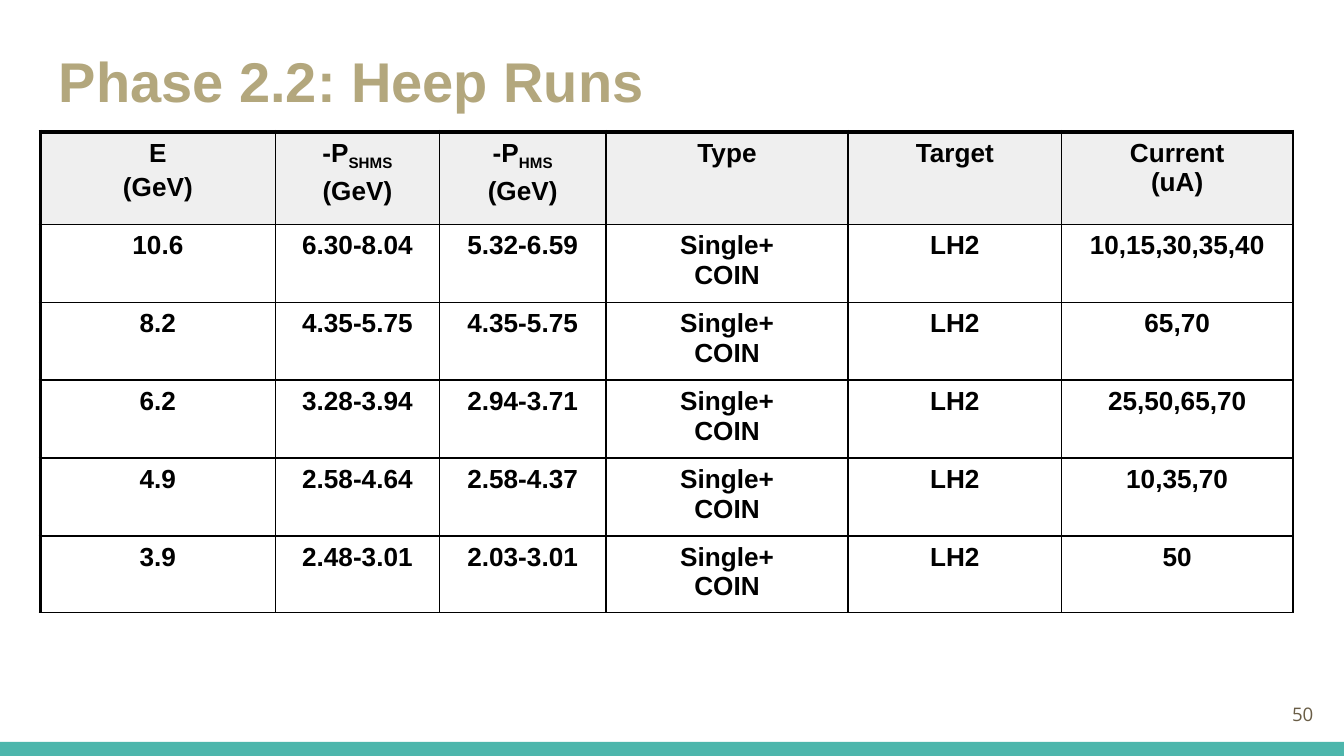
from lxml.etree import SubElement as Sub
from pptx import Presentation
from pptx.dml.color import RGBColor as Rgb
from pptx.enum.shapes import MSO_SHAPE as Kind
from pptx.enum.text import MSO_ANCHOR as Anchor, PP_ALIGN as Align
from pptx.oxml.ns import qn
from pptx.util import Inches, Pt

COLORS = {"bar": "4DB6AC", "title": "B3A77D", "page": "695D46",
          "head": "EFEFEF", "ink": "000000"}
TITLE = "Phase 2.2: Heep Runs"
PAGE = "50"
HEAD = [["E", "(GeV)"], [("-P", "SHMS"), "(GeV)"], [("-P", "HMS"), "(GeV)"],
        ["Type"], ["Target"], ["Current", "(uA)"]]
RUNS = [
    ("10.6", "6.30-8.04", "5.32-6.59", "10,15,30,35,40"),
    ("8.2", "4.35-5.75", "4.35-5.75", "65,70"),
    ("6.2", "3.28-3.94", "2.94-3.71", "25,50,65,70"),
    ("4.9", "2.58-4.64", "2.58-4.37", "10,35,70"),
    ("3.9", "2.48-3.01", "2.03-3.01", "50"),
]
KIND = ["Single+", "COIN"]
TARGET = ["LH2"]
WIDTHS = [1.75, 1.22, 1.24, 1.8, 1.59, 1.72]
HEIGHTS = [0.69] + [0.58] * 4 + [0.49]
SIDE = 3.28


def color(name):
    return Rgb.from_string(COLORS[name])


def style(para, font, size, ink, bold, align):
    para.alignment = align
    para.font.name = font
    para.font.size = Pt(size)
    para.font.bold = bold
    para.font.color.rgb = color(ink)


def label(slide, area, text, anchor, *look):
    frame = slide.shapes.add_textbox(*map(Inches, area)).text_frame
    frame.word_wrap = True
    frame.vertical_anchor = anchor
    frame.margin_left = frame.margin_right = Inches(0.1)
    frame.margin_top = frame.margin_bottom = Inches(0.1)
    frame.text = text
    style(frame.paragraphs[0], *look)


def border(cell, row, col):
    props = cell._tc.get_or_add_tcPr()
    sides = {"L": col == 0, "R": False, "T": row == 0, "B": False}
    for side, thick in sides.items():
        line = Sub(props, qn(f"a:ln{side}"), w=str(Pt(2.25 if thick else 1)))
        fill = Sub(line, qn("a:solidFill"))
        Sub(fill, qn("a:srgbClr"), val=COLORS["ink"])


def write(cell, lines, gap):
    cell.margin_left = cell.margin_right = 0
    cell.margin_top = cell.margin_bottom = Inches(0.05)
    frame = cell.text_frame
    for i, line in enumerate(lines):
        para = frame.add_paragraph() if i else frame.paragraphs[0]
        style(para, "Arial", 14, "ink", True, Align.CENTER)
        if i and gap:
            para.space_before = Pt(gap)
        base, sub = line if isinstance(line, tuple) else (line, "")
        para.add_run().text = base
        if sub:
            run = para.add_run()
            run.text = sub
            run._r.get_or_add_rPr().set("baseline", "-25000")


deck = Presentation()
deck.slide_width = Inches(10)
deck.slide_height = Inches(10 * 9 / 16)
slide = deck.slides.add_slide(deck.slide_layouts[6])

bar = slide.shapes.add_shape(Kind.RECTANGLE, *map(Inches, (0, 5.52, 10, 0.11)))
bar.shadow.inherit = False
bar.fill.solid()
bar.fill.fore_color.rgb = color("bar")
bar.line.fill.background()

label(slide, (0.34, 0.25, 9.32, 0.63), TITLE, Anchor.TOP,
      "Arial", 30, "title", True, Align.LEFT)

rows = [HEAD] + [[[e], [shms], [hms], KIND, TARGET, [amps]]
                 for e, shms, hms, amps in RUNS]
area = (0.3, 0.98, SIDE, SIDE)
holder = slide.shapes.add_table(len(rows), len(WIDTHS), *map(Inches, area))
table = holder.table
table.first_row = table.horz_banding = False
for col, width in zip(table.columns, WIDTHS):
    col.width = Inches(width)
for row, height in zip(table.rows, HEIGHTS):
    row.height = Inches(height)
holder.width = holder.height = Inches(SIDE)
for r, row in enumerate(rows):
    for c, lines in enumerate(row):
        cell = table.cell(r, c)
        border(cell, r, c)
        if r == 0:
            cell.fill.solid()
            cell.fill.fore_color.rgb = color("head")
        else:
            cell.fill.background()
        write(cell, lines, 2.8 if r == 0 and c < 3 else 0)

label(slide, (9.27, 5.1, 0.6, 0.43), PAGE, Anchor.MIDDLE,
      "Open Sans", 10, "page", False, Align.RIGHT)
deck.save("out.pptx")
